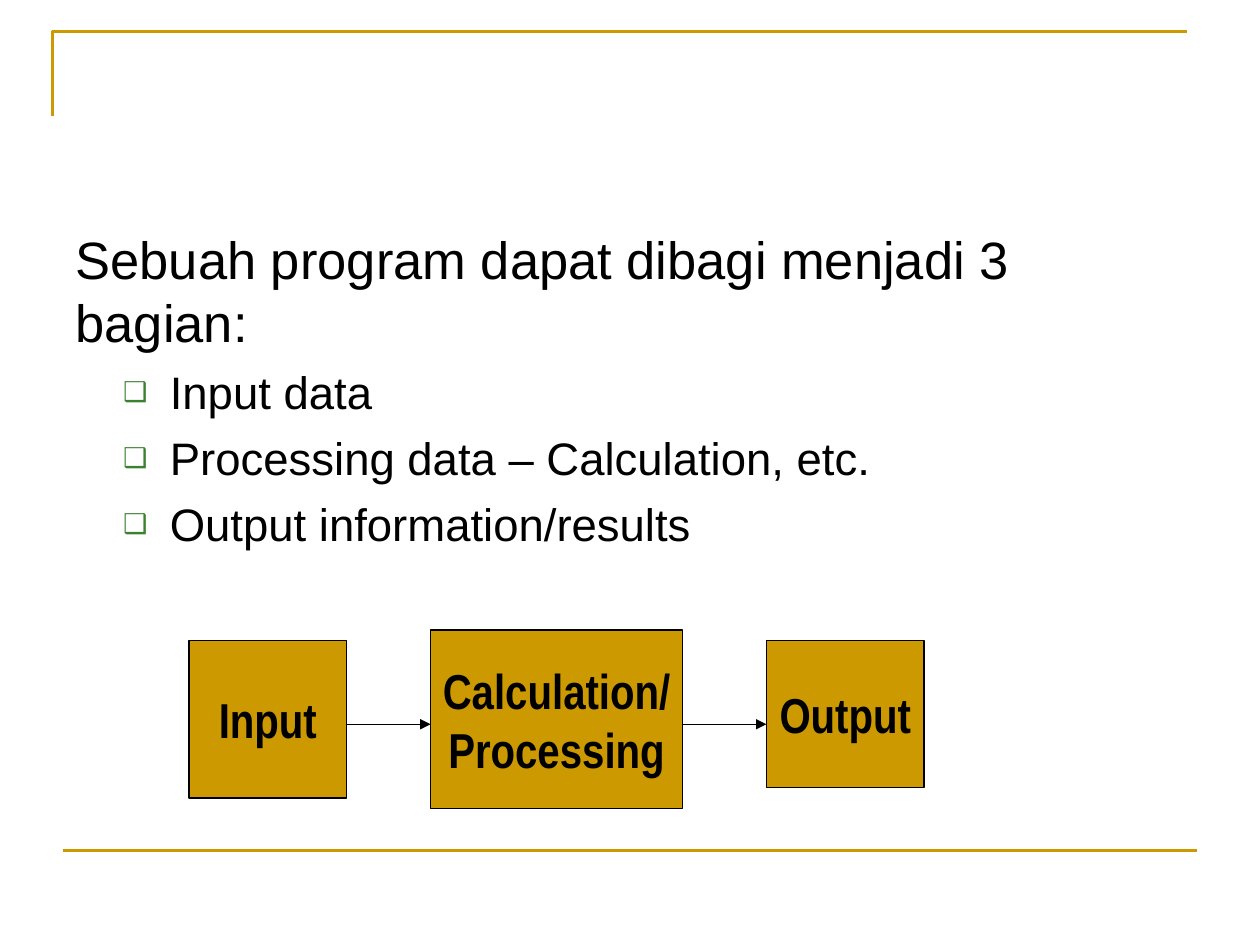
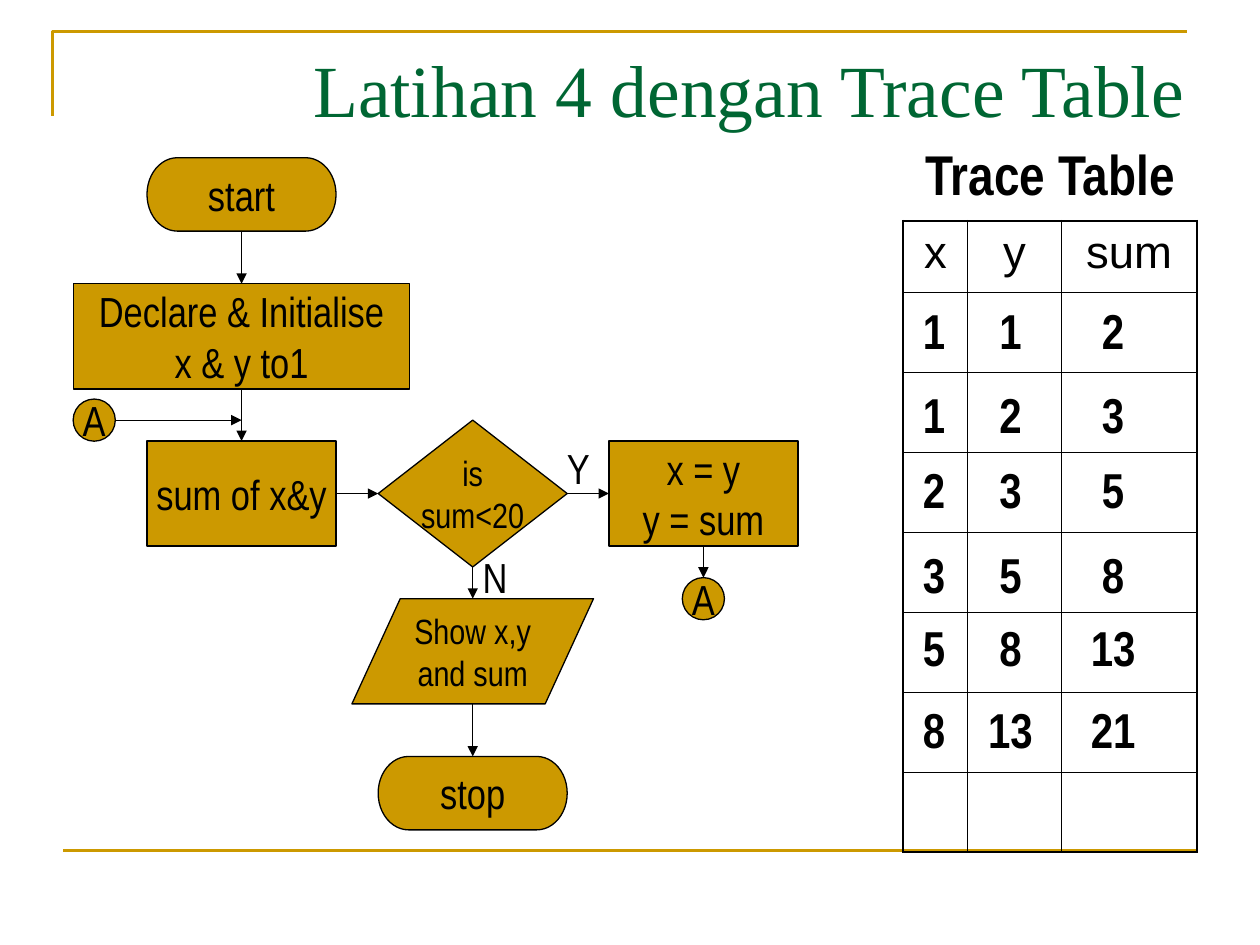
from dataclasses import dataclass

from lxml.etree import SubElement
from pptx import Presentation
from pptx.dml.color import RGBColor
from pptx.enum.shapes import MSO_CONNECTOR, MSO_SHAPE
from pptx.enum.text import MSO_ANCHOR, MSO_AUTO_SIZE, PP_ALIGN
from pptx.oxml import parse_xml
from pptx.oxml.ns import nsdecls, qn
from pptx.util import Cm, Pt

TOP, LEFT, BOTTOM, RIGHT = range(4)
FOUR_SIDED = (
    MSO_SHAPE.RECTANGLE,
    MSO_SHAPE.FLOWCHART_PROCESS,
    MSO_SHAPE.FLOWCHART_TERMINATOR,
    MSO_SHAPE.FLOWCHART_DECISION,
)


@dataclass(frozen=True)
class Theme:
    gold: str = "CC9900"
    green: str = "006633"
    bullet: str = "3B812F"
    ink: str = "000000"
    title_font: str = "Times New Roman"
    body_font: str = "Arial"
    diagram_font: str = "Arial Narrow"
    title_size: float = 42
    heading_size: float = 32
    lead_size: float = 30
    block_size: float = 28
    list_size: float = 26
    node_size: float = 24
    small_size: float = 20
    thin: float = 0.75
    rule: float = 1.5
    table_outer: float = 1.08
    table_inner: float = 0.45


@dataclass(frozen=True)
class Box:
    left: float
    top: float
    width: float
    height: float

    def point(self, x, y):
        return Cm(self.left + x), Cm(self.top + y)

    def centred(self, x, y, width, height):
        left, top = self.point(x - width / 2, y - height / 2)
        return left, top, Cm(width), Cm(height)

    def edges(self):
        return Cm(self.left), Cm(self.top), Cm(self.width), Cm(self.height)


THEME = Theme()


def rgb(colour):
    return RGBColor.from_string(colour)


def write(text_frame, text, *, size, font=THEME.diagram_font, colour=THEME.ink, bold=False,
          align=PP_ALIGN.LEFT, anchor=MSO_ANCHOR.TOP, wrap=True, before=0, levels=None):
    text_frame.word_wrap = wrap
    text_frame.auto_size = MSO_AUTO_SIZE.NONE
    text_frame.vertical_anchor = anchor
    write_paragraphs(text_frame, text, size, font, colour, bold, align, before)


def write_paragraphs(text_frame, text, size, font, colour, bold, align, before):
    for index, line in enumerate(text.split("\n")):
        paragraph = text_frame.paragraphs[0] if index == 0 else text_frame.add_paragraph()
        paragraph.alignment = align
        paragraph.space_before = Pt(before)
        run = paragraph.add_run()
        run.text = line
        run.font.size = Pt(size)
        run.font.name = font
        run.font.bold = bold
        run.font.color.rgb = rgb(colour)


def style_line(shape, colour=THEME.ink, width=THEME.thin):
    shape.line.color.rgb = rgb(colour)
    shape.line.width = Pt(width)


def add_line(slide, start, end, colour=THEME.ink, width=THEME.thin):
    connector = slide.shapes.add_connector(MSO_CONNECTOR.STRAIGHT, *start, *end)
    style_line(connector, colour, width)
    SubElement(connector.element.spPr, qn("a:effectLst"))
    return connector


def add_arrow(slide, start, end):
    connector = add_line(slide, start, end)
    SubElement(connector.line._get_or_add_ln(), qn("a:tailEnd"), type="triangle")
    return connector


def side_point(shape, side):
    middle_x = shape.left + shape.width // 2
    middle_y = shape.top + shape.height // 2
    return {
        TOP: (middle_x, shape.top),
        LEFT: (shape.left, middle_y),
        BOTTOM: (middle_x, shape.top + shape.height),
        RIGHT: (shape.left + shape.width, middle_y),
    }[side]


def link(slide, source, source_side, target, target_side):
    connector = add_arrow(slide, side_point(source, source_side), side_point(target, target_side))
    if source.auto_shape_type in FOUR_SIDED:
        connector.begin_connect(source, source_side)
    if target.auto_shape_type in FOUR_SIDED:
        connector.end_connect(target, target_side)


def add_node(slide, kind, edges, text, size=THEME.node_size, bold=False):
    shape = slide.shapes.add_shape(kind, *edges)
    shape.shadow.inherit = False
    shape.fill.solid()
    shape.fill.fore_color.rgb = rgb(THEME.gold)
    style_line(shape)
    write(shape.text_frame, text, size=size, bold=bold, align=PP_ALIGN.CENTER,
          anchor=MSO_ANCHOR.MIDDLE, wrap=False)
    return shape


def add_label(slide, edges, text, **text_format):
    label = slide.shapes.add_textbox(*edges)
    write(label.text_frame, text, **text_format)


def move_to_master(presentation, shape):
    presentation.slide_master.shapes.element.insert(2, shape.element)


def add_master_frame(presentation, slide, box):
    builder = slide.shapes.build_freeform(*box.point(0, 1.69))
    builder.add_line_segments([box.point(0, 0), box.point(22.86, 0)], close=False)
    corner = builder.convert_to_shape()
    corner.shadow.inherit = False
    corner.fill.background()
    style_line(corner, THEME.gold, THEME.rule)
    base = add_line(slide, box.point(0.21, box.height), box.point(box.width, box.height),
                    THEME.gold, THEME.rule)
    for shape in (corner, base):
        move_to_master(presentation, shape)


def set_bullet(paragraph, character=None):
    properties = paragraph._p.get_or_add_pPr()
    if character is None:
        properties.set("marL", "0")
        properties.set("indent", "0")
        SubElement(properties, qn("a:buNone"))
        return
    properties.set("marL", str(Cm(1.9)))
    properties.set("indent", str(Cm(-0.94)))
    colour = SubElement(properties, qn("a:buClr"))
    SubElement(colour, qn("a:srgbClr"), val=THEME.bullet)
    SubElement(properties, qn("a:buSzPct"), val="60000")
    SubElement(properties, qn("a:buChar"), char=character)


def place(shape, box):
    shape.left, shape.top, shape.width, shape.height = box.edges()


def fill_program_parts(body, box):
    place(body, box)
    lead = "Sebuah program dapat dibagi menjadi 3 bagian:"
    parts = ["Input data", "Processing data – Calculation, etc.", "Output information/results"]
    write(body.text_frame, "\n".join([lead, *parts]), size=THEME.list_size,
          font=THEME.body_font, before=6.5)
    first, *items = body.text_frame.paragraphs
    first.space_before = Pt(7.5)
    first.runs[0].font.size = Pt(THEME.lead_size)
    set_bullet(first)
    for item in items:
        item.level = 1
        set_bullet(item, "❑")


def add_program_blocks(slide, box):
    blocks = [
        ("Input", 0, 0.21, 3.18, 3.18),
        ("Calculation/\nProcessing", 4.87, 0, 5.08, 3.6),
        ("Output", 11.64, 0.21, 3.18, 2.96),
    ]
    arrow_y = 1.9
    previous_right = None
    for text, x, y, width, height in blocks:
        edges = (*box.point(x, y), Cm(width), Cm(height))
        add_node(slide, MSO_SHAPE.RECTANGLE, edges, text, THEME.block_size, bold=True)
        if previous_right is not None:
            add_arrow(slide, box.point(previous_right, arrow_y), box.point(x, arrow_y))
        previous_right = x + width


def add_flowchart(slide, box):
    left_x, middle_x, right_x = 3.39, 8.05, 12.7
    loop_y, merge_y = 6.77, 5.29
    terminator = (MSO_SHAPE.FLOWCHART_TERMINATOR, 3.81, 1.48)
    process = (MSO_SHAPE.FLOWCHART_PROCESS, 3.81, 2.12)
    wide_process = (MSO_SHAPE.FLOWCHART_PROCESS, 6.77, 2.12)
    decision = (MSO_SHAPE.FLOWCHART_DECISION, 3.81, 2.96)
    output = (MSO_SHAPE.FLOWCHART_DATA, 4.87, 2.12)
    jump = (MSO_SHAPE.FLOWCHART_CONNECTOR, 0.85, 0.85)

    def node(style, x, y, text, size=THEME.node_size):
        kind, width, height = style
        return add_node(slide, kind, box.centred(x, y, width, height), text, size)

    start = node(terminator, left_x, 0.74, "start")
    declare = node(wide_process, left_x, 3.6, "Declare & Initialise\nx & y to1")
    total = node(process, left_x, loop_y, "sum of x&y")
    test = node(decision, middle_x, loop_y, "is\nsum<20", THEME.small_size)
    update = node(process, right_x, loop_y, "x = y\ny = sum")
    show = node(output, middle_x, 9.95, "Show x,y\nand sum", THEME.small_size)
    stop = node(terminator, middle_x, 12.81, "stop")
    jump_in = node(jump, 0.42, merge_y, "A")
    jump_out = node(jump, right_x, 8.89, "A")

    for source, target in [(start, declare), (declare, total), (test, show),
                           (show, stop), (update, jump_out)]:
        link(slide, source, BOTTOM, target, TOP)
    for source, target in [(total, test), (test, update)]:
        link(slide, source, RIGHT, target, LEFT)
    add_arrow(slide, side_point(jump_in, RIGHT), box.point(left_x, merge_y))

    for text, x, y in [("Y", 9.7, 5.61), ("N", 8, 7.82)]:
        add_label(slide, (*box.point(x, y), Cm(0.98), Cm(1.27)), text,
                  size=THEME.node_size, wrap=False)


def set_borders(cell, outer_sides):
    properties = cell._tc.get_or_add_tcPr()
    for index, side in enumerate("LRTB"):
        width = THEME.table_outer if side in outer_sides else THEME.table_inner
        properties.insert(index, parse_xml(
            f'<a:ln{side} {nsdecls("a")} w="{Pt(width)}"><a:solidFill>'
            f'<a:srgbClr val="{THEME.ink}"/></a:solidFill></a:ln{side}>'))


def add_trace_table(slide, box):
    headers = ["x", "y", "sum"]
    column_widths = [1.3, 1.88, 2.74]
    row_heights = [1.45] + [1.61] * 7
    frame = slide.shapes.add_table(len(row_heights), len(headers), *box.edges())
    table = frame.table
    table.first_row = table.horz_banding = False
    for column, width in zip(table.columns, column_widths):
        column.width = Cm(width)
    for row, height in zip(table.rows, row_heights):
        row.height = Cm(height)
    last_row, last_column = len(row_heights) - 1, len(headers) - 1
    for row in range(len(row_heights)):
        for column in range(len(headers)):
            cell = table.cell(row, column)
            cell.fill.background()
            outer = {"T": row == 0, "B": row == last_row,
                     "L": column == 0, "R": column == last_column}
            set_borders(cell, [side for side, is_outer in outer.items() if is_outer])
    for column, header in enumerate(headers):
        write_paragraphs(table.cell(0, column).text_frame, header, THEME.list_size,
                         THEME.body_font, THEME.ink, False, PP_ALIGN.CENTER, 6.5)


def add_trace_values(slide, box):
    column_centres = [0.62, 2.16, 4.23]
    row_centres = [2.2, 3.9, 5.42, 7.12, 8.6, 10.25]
    x, y = 1, 1
    for row_y in row_centres:
        for column_x, value in zip(column_centres, (x, y, x + y)):
            width = 0.94 if value < 10 else 1.4
            add_label(slide, box.centred(column_x, row_y, width, 1.45), str(value),
                      size=THEME.block_size, bold=True, align=PP_ALIGN.CENTER, wrap=False)
        x, y = y, x + y


def build_program_slide(slide):
    title = slide.shapes.title
    title.element.getparent().remove(title.element)
    fill_program_parts(slide.placeholders[1], Box(1.27, 4.45, 22.86, 12.57))
    add_program_blocks(slide, Box(3.81, 12.7, 14.82, 3.6))


def build_trace_slide(slide):
    place(slide.shapes.title, Box(1.27, 0.76, 22.86, 3.18))
    write(slide.shapes.title.text_frame, "Latihan 4 dengan Trace Table", size=THEME.title_size,
          font=THEME.title_font, colour=THEME.green, align=PP_ALIGN.RIGHT)
    add_flowchart(slide, Box(1.48, 3.18, 14.61, 13.55))
    trace_box = Box(18.21, 4.45, 5.92, 12.72)
    add_trace_table(slide, trace_box)
    add_label(slide, Box(18.21, 2.69, 5.92, 1.63).edges(), "Trace Table",
              size=THEME.heading_size, bold=True, align=PP_ALIGN.CENTER)
    add_trace_values(slide, trace_box)


def main():
    presentation = Presentation()
    presentation.slide_width, presentation.slide_height = Cm(25.4), Cm(19.05)
    layouts = presentation.slide_layouts
    program_slide = presentation.slides.add_slide(layouts.get_by_name("Title and Content"))
    trace_slide = presentation.slides.add_slide(layouts.get_by_name("Title Only"))
    add_master_frame(presentation, program_slide, Box(1.06, 0.64, 23.07, 16.51))
    build_program_slide(program_slide)
    build_trace_slide(trace_slide)
    presentation.save("out.pptx")


if __name__ == "__main__":
    main()
